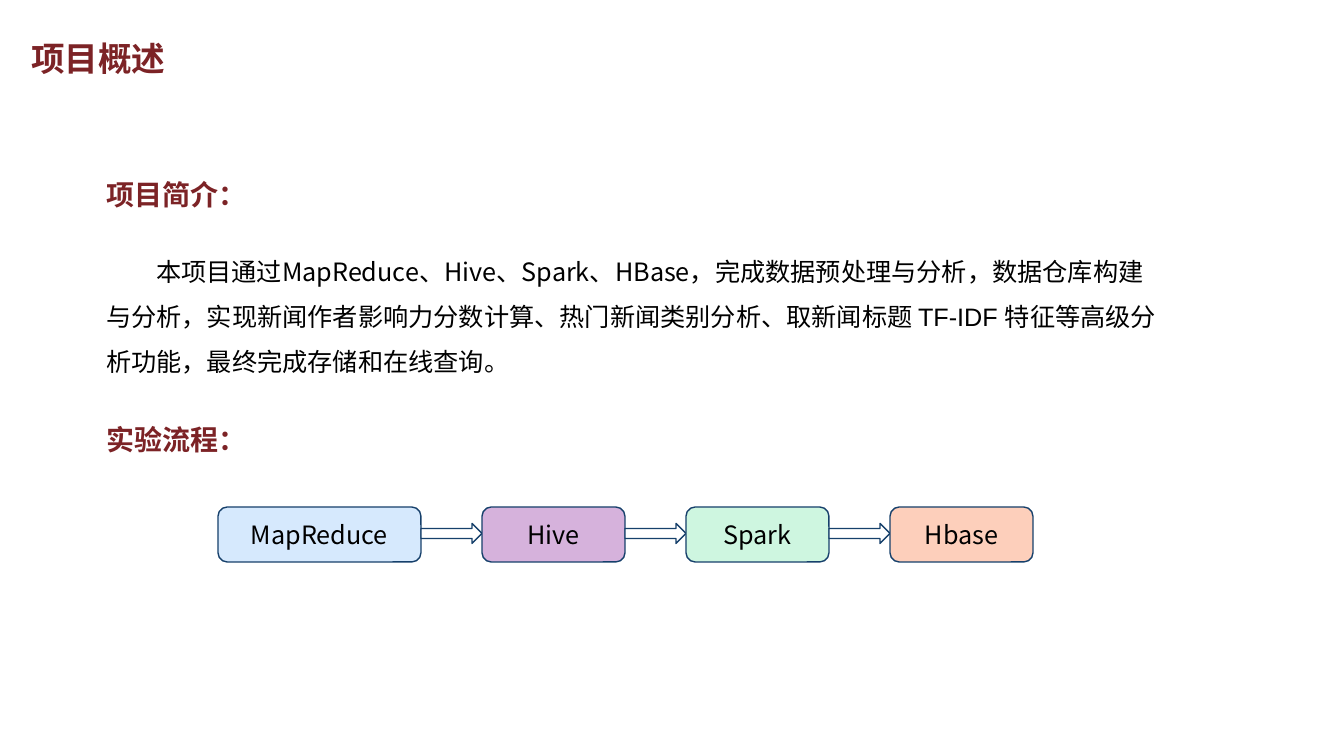
from dataclasses import dataclass

from lxml.etree import SubElement
from pptx import Presentation
from pptx.dml.color import RGBColor
from pptx.enum.lang import MSO_LANGUAGE_ID as Lang
from pptx.enum.shapes import MSO_SHAPE as Shape
from pptx.enum.text import MSO_ANCHOR as Anchor, MSO_AUTO_SIZE as AutoSize, PP_ALIGN as Align
from pptx.oxml.ns import qn
from pptx.util import Emu, Pt


@dataclass(frozen=True)
class Theme:
    accent: str = "7C2326"
    ink: str = "000000"
    outline: str = "16406B"
    paper: str = "FFFFFF"
    font: str = "Arial"
    tool_font: str = "Noto Sans CJK SC"
    title_size: int = 24
    heading_size: int = 20
    text_size: int = 18


T = Theme()
STEPS = [("MapReduce", 203, "D6E9FD"), ("Hive", 143, "D6B2DC"),
         ("Spark", 143, "CEF6E0"), ("Hbase", 143, "FDCFBB")]
SUMMARY = [
    ("本项目通过", T.font),
    ("MapReduce、Hive、Spark、HBase", T.tool_font),
    ("，完成数据预处理与分析，数据仓库构建与分析，实现新闻作者影响力分数计算、"
     "热门新闻类别分析、取新闻标题 TF-IDF 特征等高级分析功能，最终完成存储和在线查询。", T.font),
]


def px(n):
    return Emu(round(n * 914400 / 100.8))


def place(s, x, y, w, h):
    s.left, s.top, s.width, s.height = px(x), px(y), px(w), px(h)


def add_run(p, text, size, color, font=T.font, bold=False):
    r = p.add_run()
    r.text = text
    f = r.font
    f.name, f.size, f.bold = font, Pt(size), bold
    f.color.rgb = RGBColor.from_string(color)
    f.language_id = Lang.SIMPLIFIED_CHINESE


def format_paragraph(p, before=0, spacing=1.0, indent=0):
    p.alignment = Align.LEFT
    p.space_before, p.line_spacing = Pt(before), spacing
    pPr = p._p.get_or_add_pPr()
    pPr.set("marL", "0")
    pPr.set("indent", str(px(indent)))
    SubElement(pPr, qn("a:buNone"))


# Slide title
def build_title(s, x, y, w, h):
    place(s, x, y, w, h)
    tf = s.text_frame
    tf.auto_size, tf.vertical_anchor = AutoSize.NONE, Anchor.MIDDLE
    p = tf.paragraphs[0]
    format_paragraph(p, spacing=0.9)
    add_run(p, "项目概述", T.title_size, T.accent, bold=True)


# Introduction and the heading of the flow
def build_body(s, x, y, w, h):
    place(s, x, y, w, h)
    tf = s.text_frame
    tf.auto_size, tf.vertical_anchor, tf.word_wrap = AutoSize.NONE, Anchor.TOP, True
    intro, summary, flow = tf.paragraphs[0], tf.add_paragraph(), tf.add_paragraph()
    format_paragraph(intro)
    add_run(intro, "项目简介：", T.heading_size, T.accent, bold=True)
    format_paragraph(summary, before=21.6, spacing=1.5, indent=50)
    for text, font in SUMMARY:
        add_run(summary, text, T.text_size, T.ink, font)
    format_paragraph(flow, before=32.5)
    add_run(flow, "实验流程：", T.heading_size, T.accent, bold=True)


def add_block(slide, kind, x, y, w, h, fill):
    s = slide.shapes.add_shape(kind, px(x), px(y), px(w), px(h))
    s.shadow.inherit = False
    s.fill.solid()
    s.fill.fore_color.rgb = RGBColor.from_string(fill)
    s.line.color.rgb = RGBColor.from_string(T.outline)
    s.line.width = Pt(1)
    return s


# Tool chain: boxes joined by block arrows
def build_flow(slide, x, y, h, gap=61, arrow_h=20):
    for i, (name, w, fill) in enumerate(STEPS):
        if i:
            add_block(slide, Shape.RIGHT_ARROW, x - gap, y + (h - arrow_h) / 2 - 1,
                      gap, arrow_h, T.paper)
        s = add_block(slide, Shape.ROUNDED_RECTANGLE, x, y, w, h, fill)
        tf = s.text_frame
        tf.vertical_anchor = Anchor.MIDDLE
        p = tf.paragraphs[0]
        p.alignment = Align.CENTER
        add_run(p, name, T.text_size, T.ink, T.tool_font)
        x += w + gap


def main():
    prs = Presentation()
    prs.slide_width, prs.slide_height = px(1344), px(756)
    slide = prs.slides.add_slide(prs.slide_layouts[1])
    build_title(slide.shapes.title, 21, 38, 1117, 46)
    build_body(slide.placeholders[1], 96, 172, 1082, 383)
    build_flow(slide, 218, 507, 55)
    prs.save("out.pptx")


if __name__ == "__main__":
    main()
